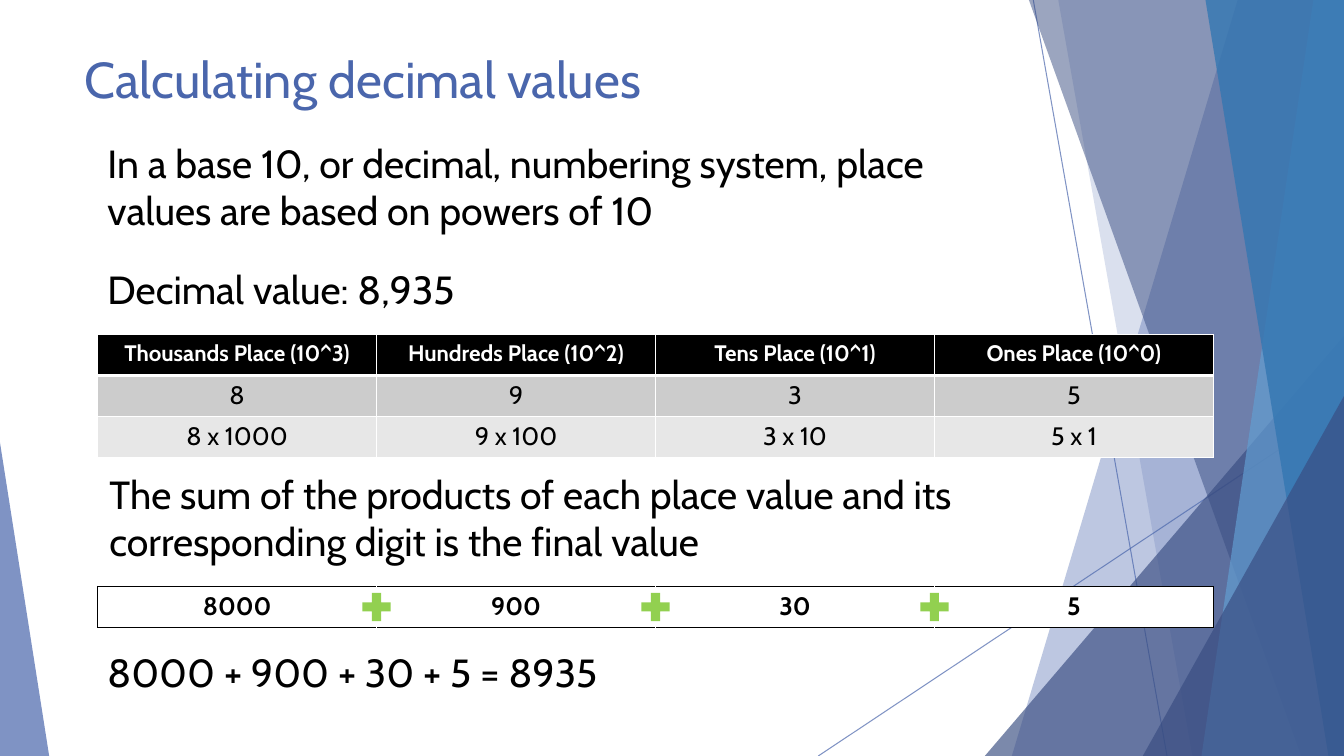
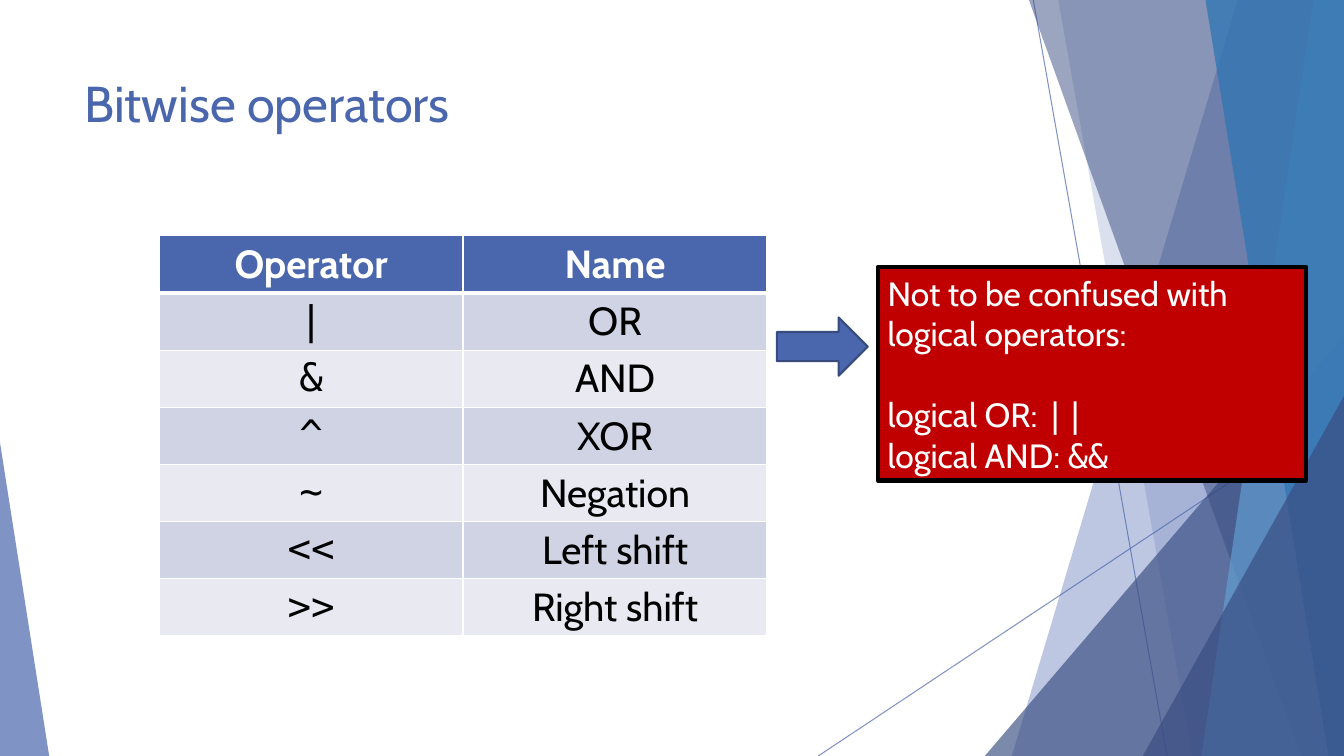
import dataclasses
from typing import Any, Sequence

import lxml.etree
import pptx
import pptx.dml.color
import pptx.enum.shapes
import pptx.enum.text
import pptx.oxml.ns
import pptx.util

Cm, Pt = pptx.util.Cm, pptx.util.Pt
qn = pptx.oxml.ns.qn
SHAPE = pptx.enum.shapes.MSO_SHAPE
CENTER = pptx.enum.text.PP_ALIGN.CENTER

WIDTH, HEIGHT = 33.87, 19.05
FONT, MONO = "Cabin", "DejaVu Sans Mono"
COLORS = {
    "blue": "4A66AC", "navy": "384C81", "sky": "629DD1", "ocean": "3477B2",
    "outline": "374B7F", "black": "000000", "white": "FFFFFF",
    "gray": "CCCCCC", "light gray": "E7E7E7", "lilac": "D0D3E3",
    "light lilac": "E9EAF1", "green": "92D050", "red": "C00000",
}


@dataclasses.dataclass(frozen=True)
class Band:
    """Area from a slanted left edge to the right edge of the slide."""
    top_x: float
    bottom_x: float
    color: str
    alpha: int


@dataclasses.dataclass(frozen=True)
class Triangle:
    """Right triangle standing on the bottom of the slide."""
    left: float
    top: float
    width: float
    apex: float
    color: str
    alpha: int


@dataclasses.dataclass(frozen=True)
class TextBox:
    left: float
    top: float
    width: float
    height: float
    text: str


@dataclasses.dataclass(frozen=True)
class TableStyle:
    head_fill: str
    row_fills: tuple[str, ...]
    head_size: int
    size: int
    head_color: str = "white"
    outline: str = "white"
    head_rule: int = 3
    fonts: tuple[str, ...] = (FONT,)


THIN_LINES = [(26.04, 0, 29.41, HEIGHT), (WIDTH, 10.24, 20.62, HEIGHT)]
FACETS = [
    Band(31.19, 25.5, "blue", 36),
    Band(26.67, 30.05, "blue", 20),
    Triangle(24.82, 8.46, 9.05, 1, "navy", 66),
    Band(25.93, 32.79, "navy", 50),
    Band(33.1, 30.28, "sky", 70),
    Band(30.38, 33.48, "ocean", 80),
    Triangle(28.8, 9.98, 5.07, 1, "navy", 66),
    Triangle(0, 11.15, 1.24, 0, "blue", 70),
]

PLACE_LEFT, PLACE_COL, PLACE_ROW = 2.46, 7.03, 1.03
SUM_TOP, PLUS_SIZE = 14.78, 0.97
PLACE_ROWS = [
    ["Thousands Place (10^3)", "Hundreds Place (10^2)", "Tens Place (10^1)", "Ones Place (10^0)"],
    ["8", "9", "3", "5"],
    ["8 x 1000", "9 x 100", "3 x 10", "5 x 1"],
]
SUM_ROW = ["8000", "900", "30", "5"]
DECIMAL_TEXTS = [
    TextBox(2.46, 3.38, 22.83, 2.64,
            "In a base 10, or decimal, numbering system, place values are based on powers of 10"),
    TextBox(2.46, 6.55, 9.9, 1.45, "Decimal value: 8,935"),
    TextBox(2.51, 11.73, 23.24, 2.64,
            "The sum of the products of each place value and its corresponding digit is the final value"),
    TextBox(2.46, 16.21, 14.4, 1.45, "8000 + 900 + 30 + 5 = 8935"),
]
OPERATOR_ROWS = [
    ["Operator", "Name"],
    ["|", "OR"],
    ["&", "AND"],
    ["^", "XOR"],
    ["~", "Negation"],
    ["<<", "Left shift"],
    [">>", "Right shift"],
]
LOGICAL_OPERATORS = [("logical OR: ", "||"), ("logical AND: ", "&&")]

PLACE_STYLE = TableStyle("black", ("gray", "light gray"), 16, 18)
SUM_STYLE = TableStyle("white", (), 18, 18, "black", "black", 1)
OPERATOR_STYLE = TableStyle("blue", ("lilac", "light lilac"), 28, 28, fonts=(MONO, FONT))


def rgb(name: str) -> pptx.dml.color.RGBColor:
    return pptx.dml.color.RGBColor.from_string(COLORS[name])


def set_alpha(sp: Any, percent: int) -> None:
    for clr in sp.element.spPr.iter(qn("a:srgbClr")):
        lxml.etree.SubElement(clr, qn("a:alpha"), val=str(percent * 1000))


def add_run(p: Any, text: str, *, size: int, color: str = "black",
            font: str = FONT, bold: bool = False) -> None:
    r = p.add_run()
    r.text = text
    r.font.size, r.font.name, r.font.bold = Pt(size), font, bold
    r.font.color.rgb = rgb(color)


def paint(sp: Any, fill: str, line: str | None = None, width: float = 1) -> None:
    sp.shadow.inherit = False
    sp.fill.solid()
    sp.fill.fore_color.rgb = rgb(fill)
    if line is None:
        sp.line.fill.background()
    else:
        sp.line.color.rgb = rgb(line)
        sp.line.width = Pt(width)


def add_shape(s: Any, kind: Any, left: float, top: float, width: float, height: float,
              fill: str, line: str | None = None, line_width: float = 1) -> Any:
    sp = s.shapes.add_shape(kind, Cm(left), Cm(top), Cm(width), Cm(height))
    paint(sp, fill, line, line_width)
    return sp


def add_text_box(s: Any, box: TextBox, size: int = 28, color: str = "black") -> None:
    sp = s.shapes.add_textbox(Cm(box.left), Cm(box.top), Cm(box.width), Cm(box.height))
    tf = sp.text_frame
    tf.word_wrap = True
    add_run(tf.paragraphs[0], box.text, size=size, color=color)


def draw_backdrop(s: Any) -> None:
    for x1, y1, x2, y2 in THIN_LINES:
        line = s.shapes.add_connector(
            pptx.enum.shapes.MSO_CONNECTOR.STRAIGHT, Cm(x1), Cm(y1), Cm(x2), Cm(y2))
        line.line.color.rgb = rgb("blue")
        line.line.width = Pt(0.75)
        set_alpha(line, 70)
        lxml.etree.SubElement(line.element.spPr, qn("a:effectLst"))
    for facet in FACETS:
        if isinstance(facet, Band):
            outline = s.shapes.build_freeform(Cm(facet.top_x), 0)
            outline.add_line_segments([
                (Cm(WIDTH), 0), (Cm(WIDTH), Cm(HEIGHT)), (Cm(facet.bottom_x), Cm(HEIGHT))])
            sp = outline.convert_to_shape()
            paint(sp, facet.color)
        else:
            sp = add_shape(s, SHAPE.ISOSCELES_TRIANGLE, facet.left, facet.top,
                           facet.width, HEIGHT - facet.top, facet.color)
            sp.adjustments[0] = facet.apex
        set_alpha(sp, facet.alpha)


def add_slide(prs: Any, title: str, title_top: float) -> Any:
    s = prs.slides.add_slide(prs.slide_layouts[6])
    draw_backdrop(s)
    add_text_box(s, TextBox(1.88, title_top, 23.88, 2.1, title), size=36, color="blue")
    return s


def add_border(cell: Any, side: str, color: str, width: int) -> None:
    tc_pr = cell._tc.get_or_add_tcPr()
    ln = lxml.etree.SubElement(tc_pr, qn(f"a:ln{side}"), w=str(Pt(width)))
    fill = lxml.etree.SubElement(ln, qn("a:solidFill"))
    lxml.etree.SubElement(fill, qn("a:srgbClr"), val=COLORS[color])


def add_table(s: Any, rows: Sequence[Sequence[str]], left: float, top: float,
              col_width: float, row_height: float, style: TableStyle) -> None:
    """Centred table with a bold first row; the outline colour is used on outer edges only."""
    n_rows, n_cols = len(rows), len(rows[0])
    table = s.shapes.add_table(n_rows, n_cols, Cm(left), Cm(top), Cm(col_width * n_cols),
                               Cm(row_height * n_rows)).table
    table.first_row = table.horz_banding = False
    for col in table.columns:
        col.width = Cm(col_width)
    for i, row in enumerate(rows):
        table.rows[i].height = Cm(row_height)
        head = i == 0
        for j, text in enumerate(row):
            cell = table.cell(i, j)
            outer = {"L": j == 0, "R": j == n_cols - 1, "T": head, "B": i == n_rows - 1}
            for side, is_outer in outer.items():
                under_head = (i, side) in ((0, "B"), (1, "T"))
                add_border(cell, side, style.outline if is_outer else "white",
                           style.head_rule if under_head else 1)
            cell.fill.solid()
            cell.fill.fore_color.rgb = rgb(
                style.head_fill if head else style.row_fills[(i - 1) % len(style.row_fills)])
            p = cell.text_frame.paragraphs[0]
            p.alignment = CENTER
            if head:
                add_run(p, text, size=style.head_size, color=style.head_color, bold=True)
            else:
                add_run(p, text, size=style.size, font=style.fonts[j % len(style.fonts)])


def build_decimal_slide(prs: Any) -> None:
    s = add_slide(prs, "Calculating decimal values", 1.09)
    for box in DECIMAL_TEXTS:
        add_text_box(s, box)
    add_table(s, PLACE_ROWS, PLACE_LEFT, 8.43, PLACE_COL, PLACE_ROW, PLACE_STYLE)
    add_table(s, [SUM_ROW], PLACE_LEFT, SUM_TOP, PLACE_COL, PLACE_ROW, SUM_STYLE)
    for i in range(1, len(SUM_ROW)):
        add_shape(s, SHAPE.MATH_PLUS, PLACE_LEFT + i * PLACE_COL - PLUS_SIZE / 2,
                  SUM_TOP + (PLACE_ROW - PLUS_SIZE) / 2, PLUS_SIZE, PLUS_SIZE, "green")


def add_callout(s: Any) -> None:
    sp = add_shape(s, SHAPE.RECTANGLE, 22.12, 6.73, 10.8, 5.38, "red", "black", 3)
    tf = sp.text_frame
    tf.word_wrap = True
    p = tf.paragraphs[0]
    add_run(p, "Not to be confused with logical operators:", size=24, color="white")
    for i, (label, symbol) in enumerate(LOGICAL_OPERATORS):
        p = tf.add_paragraph()
        p.space_before = Pt(0 if i else 29)
        add_run(p, label, size=24, color="white")
        add_run(p, symbol, size=24, color="white", font=MONO)
    for p in tf.paragraphs:
        p.alignment = pptx.enum.text.PP_ALIGN.LEFT


def build_operator_slide(prs: Any) -> None:
    s = add_slide(prs, "Bitwise operators", 1.7)
    add_table(s, OPERATOR_ROWS, 4.01, 5.94, 7.66, 1.44, OPERATOR_STYLE)
    add_callout(s)
    add_shape(s, SHAPE.RIGHT_ARROW, 19.58, 8, 2.29, 1.47, "blue", "outline", 1.5)


def main() -> None:
    prs = pptx.Presentation()
    prs.slide_width, prs.slide_height = Cm(WIDTH), Cm(HEIGHT)
    build_decimal_slide(prs)
    build_operator_slide(prs)
    prs.save("out.pptx")


if __name__ == "__main__":
    main()
